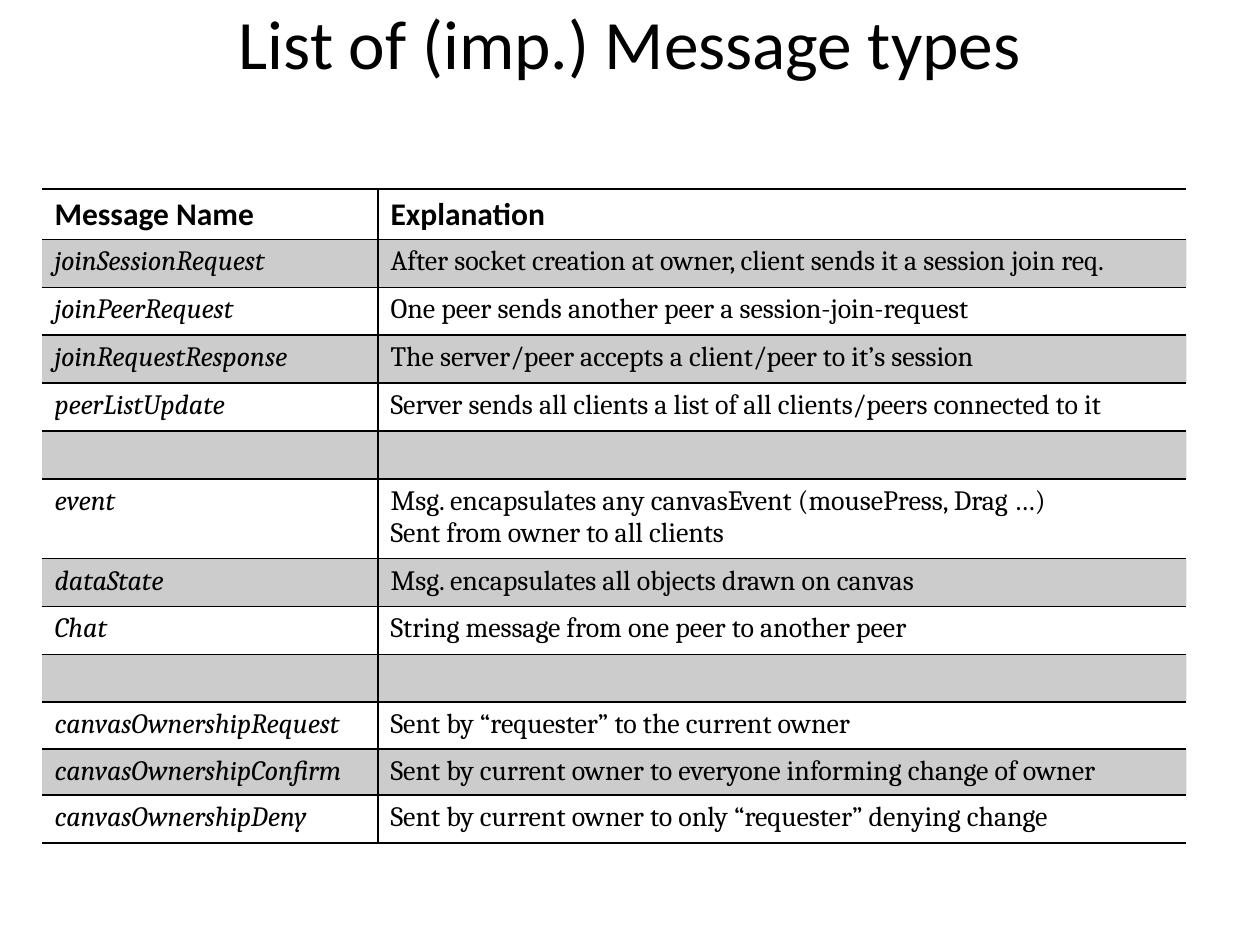
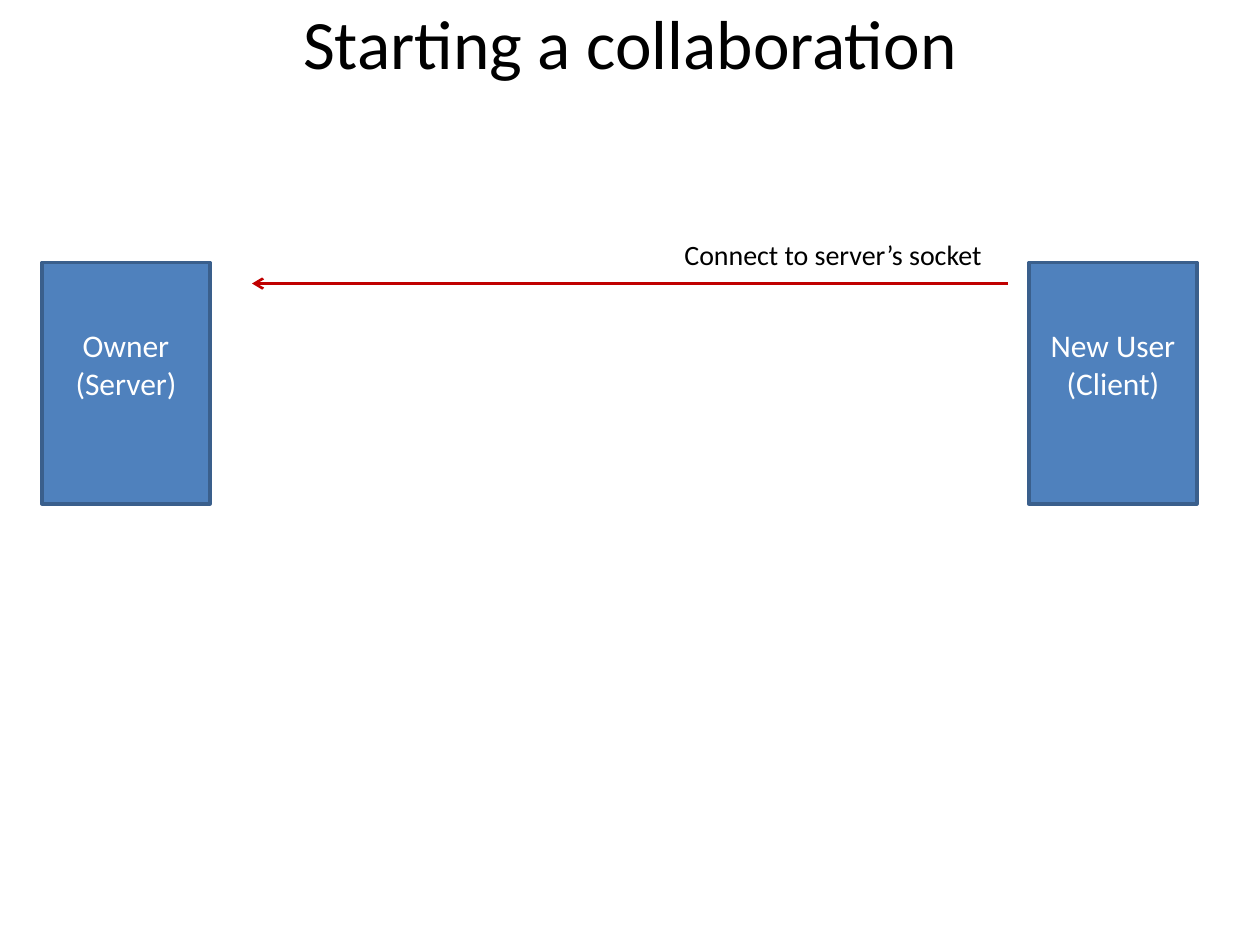
from lxml.etree import SubElement
from pptx import Presentation
from pptx.dml.color import RGBColor
from pptx.enum.shapes import MSO_CONNECTOR, MSO_SHAPE
from pptx.enum.text import MSO_ANCHOR, PP_ALIGN
from pptx.oxml.ns import qn
from pptx.util import Inches, Pt

# Shared look
BLACK = RGBColor(0x00, 0x00, 0x00)
WHITE = RGBColor(0xFF, 0xFF, 0xFF)
BOX_BLUE = RGBColor(0x4F, 0x81, 0xBD)
EDGE_BLUE = RGBColor(0x3A, 0x5F, 0x8C)
ARROW_RED = RGBColor(0xC0, 0x00, 0x00)
HEADING_FONT, BODY_FONT = "Calibri", "Cambria"
BAND_ALPHA = 20  # percent of black

# The slide is a grid of 120 columns by 90 rows
COLUMNS, ROWS = 120, 90
CELL = Inches(10) // COLUMNS

MESSAGES = [
    ("Message Name", "Explanation"),
    ("joinSessionRequest", "After socket creation at owner, client sends it a session join req."),
    ("joinPeerRequest", "One peer sends another peer a session-join-request"),
    ("joinRequestResponse", "The server/peer accepts a client/peer to it’s session"),
    ("peerListUpdate", "Server sends all clients a list of all clients/peers connected to it"),
    ("", ""),
    ("event", "Msg. encapsulates any canvasEvent (mousePress, Drag …)\vSent from owner to all clients"),
    ("dataState", "Msg. encapsulates all objects drawn on canvas"),
    ("Chat", "String message from one peer to another peer"),
    ("", ""),
    ("canvasOwnershipRequest", "Sent by “requester” to the current owner"),
    ("canvasOwnershipConfirm", "Sent by current owner to everyone informing change of owner"),
    ("canvasOwnershipDeny", "Sent by current owner to only “requester” denying change"),
]
ROW_HEIGHT = 0.38
SHORT_ROWS = {10: 0.37, 11: 0.3}


def grid(*units):
    return [unit * CELL for unit in units]


def write(frame, text, size, color=BLACK, font=HEADING_FONT,
          align=PP_ALIGN.LEFT, bold=False, italic=False):
    frame.text = text
    for paragraph in frame.paragraphs:
        paragraph.alignment = align
        for run in paragraph.runs:
            run.font.name, run.font.size = font, Pt(size)
            run.font.bold, run.font.italic = bold, italic
            run.font.color.rgb = color
        if not paragraph.runs:
            paragraph._p.get_or_add_endParaRPr().set("sz", str(size * 100))


def add_label(slide, text, size, place, align=PP_ALIGN.LEFT, anchor=MSO_ANCHOR.TOP):
    frame = slide.shapes.add_textbox(*grid(*place)).text_frame
    frame.word_wrap = True
    frame.vertical_anchor = anchor
    write(frame, text, size, align=align)


def add_titled_slide(deck, title):
    slide = deck.slides.add_slide(deck.slide_layouts[6])
    add_label(slide, title, 39.6, (9, 0, 102, 8), PP_ALIGN.CENTER, MSO_ANCHOR.MIDDLE)
    return slide


def rule_cell(cell, ruled_sides):
    properties = cell._tc.get_or_add_tcPr()
    for side in "LRTB":
        edge = SubElement(properties, qn(f"a:ln{side}"), w=str(Pt(1)))
        if side in ruled_sides:
            color = SubElement(SubElement(edge, qn("a:solidFill")), qn("a:srgbClr"))
            color.set("val", str(BLACK))
        else:
            SubElement(edge, qn("a:noFill"))


def band_cell(cell, shaded):
    if not shaded:
        cell.fill.background()
        return
    cell.fill.solid()
    cell.fill.fore_color.rgb = BLACK
    color = cell._tc.tcPr.find(".//" + qn("a:solidFill") + "[last()]/" + qn("a:srgbClr"))
    for fill in cell._tc.tcPr.findall(qn("a:solidFill")):
        color = fill.find(qn("a:srgbClr"))
    SubElement(color, qn("a:alpha"), val=str(BAND_ALPHA * 1000))


def add_message_table(slide):
    heights = [SHORT_ROWS.get(i, ROW_HEIGHT) for i in range(len(MESSAGES))]
    left, top, width = grid(4, 18, 109)
    table = slide.shapes.add_table(len(MESSAGES), 2, left, top, width,
                                   Inches(sum(heights))).table
    table.first_row = table.horz_banding = False
    for column, column_width in zip(table.columns, grid(32, 77)):
        column.width = column_width
    for i, (message, height) in enumerate(zip(MESSAGES, heights)):
        table.rows[i].height = Inches(height)
        for j, text in enumerate(message):
            cell = table.cell(i, j)
            rule_cell(cell, "RTB" if j == 0 else "LTB")
            band_cell(cell, i % 2 == 1)
            if i == 0:
                write(cell.text_frame, text, 18, bold=True)
            else:
                write(cell.text_frame, text, 16, font=BODY_FONT, italic=j == 0)


def add_party(slide, text, column):
    party = slide.shapes.add_shape(MSO_SHAPE.RECTANGLE, *grid(column, 25, 16, 23))
    party.shadow.inherit = False
    party.fill.solid()
    party.fill.fore_color.rgb = BOX_BLUE
    party.line.color.rgb = EDGE_BLUE
    party.line.width = Pt(2)
    frame = party.text_frame
    frame.word_wrap = True
    frame.vertical_anchor = MSO_ANCHOR.MIDDLE
    frame.margin_bottom = Inches(0.35)  # lifts the text by half a line
    write(frame, text, 18, WHITE, align=PP_ALIGN.CENTER)


def add_arrow(slide, *ends):
    arrow = slide.shapes.add_connector(MSO_CONNECTOR.STRAIGHT, *grid(*ends))
    arrow.line.color.rgb = ARROW_RED
    arrow.line.width = Pt(1.5)
    SubElement(arrow.line._get_or_add_ln(), qn("a:tailEnd"), type="arrow")
    SubElement(arrow._element.spPr, qn("a:effectLst"))


def main():
    deck = Presentation()
    deck.slide_width, deck.slide_height = grid(COLUMNS, ROWS)

    # Message types
    add_message_table(add_titled_slide(deck, "List of (imp.) Message types"))

    # Owner and new user
    start = add_titled_slide(deck, "Starting a collaboration")
    add_party(start, "Owner\n(Server)", 4)
    add_party(start, "New User\n(Client)", 98)
    add_arrow(start, 96, 27, 24, 27)
    add_label(start, "Connect to server’s socket", 16, (64, 22, 32, 4.4))

    deck.save("out.pptx")


main()
